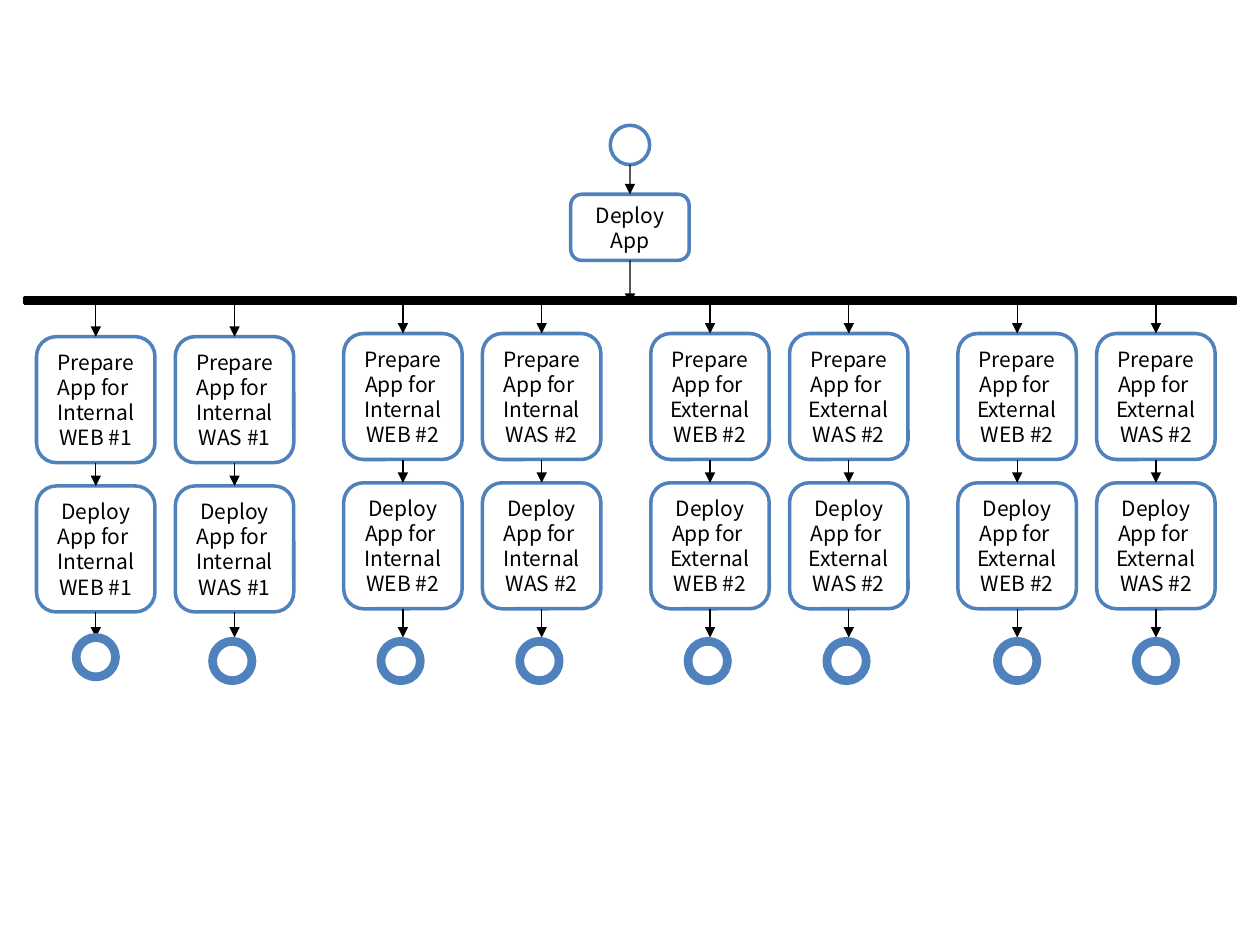
import pptx
import pptx.dml.color
import pptx.enum.shapes
import pptx.enum.text
import pptx.oxml
import pptx.oxml.ns
import pptx.util

Pt = pptx.util.Pt
SHAPES = pptx.enum.shapes.MSO_SHAPE
COLOURS = {"outline": "4F81BD", "paper": "FFFFFF", "ink": "000000"}
LABEL_FORMAT = {"name": "Noto Sans CJK KR", "size": Pt(12)}
TOP, BOTTOM = 0, 2

CENTRE = 360
STEP_WIDTH, STEP_HEIGHT = 67.7, 72
CIRCLE = 22.5
FIRST_LEFT, GROUP_PITCH, SERVER_PITCH = 20.9, 175.5, 79.3
DEPLOY_OFFSET = 85.3
BAR_TOP, BAR_HEIGHT = 170, 3.6
STEP_END = 364.3

# Server group, number, top of its first step, tops and left shifts of its end circles
GROUPS = [
    ("Internal", 1, 192.4, (364.3, 366.5), (0, -1.3)),
    ("Internal", 2, 190.6, (366.5, 366.5), (-1.3, -1.3)),
    ("External", 2, 190.6, (366.5, 366.5), (-1.3, -1.3)),
    ("External", 2, 190.6, (366.5, 366.5), (0, 0)),
]


def colour(key):
    return pptx.dml.color.RGBColor.from_string(COLOURS[key])


def add_node(slide, preset, bounds, fill="paper", outline="outline", weight=2):
    """Add a filled and outlined preset shape; bounds are in points."""
    node = slide.shapes.add_shape(preset, *map(Pt, bounds))
    node.shadow.inherit = False
    node.fill.solid()
    node.fill.fore_color.rgb = colour(fill)
    node.line.color.rgb = colour(outline)
    node.line.width = Pt(weight)
    return node


def add_step(slide, left, top, height, lines):
    step = add_node(slide, SHAPES.ROUNDED_RECTANGLE, (left, top, STEP_WIDTH, height))
    frame = step.text_frame
    frame.word_wrap = True
    frame.vertical_anchor = pptx.enum.text.MSO_ANCHOR.MIDDLE
    for index, line in enumerate(lines):
        paragraph = frame.add_paragraph() if index else frame.paragraphs[0]
        paragraph.alignment = pptx.enum.text.PP_ALIGN.CENTER
        label = paragraph.add_run()
        label.text = line
        for attribute, value in LABEL_FORMAT.items():
            setattr(label.font, attribute, value)
        label.font.color.rgb = colour("ink")
    return step


def add_arrow(slide, x, start, end, source=None, target=None):
    """Add a downward arrow, joined to the steps it leaves or enters."""
    arrow = slide.shapes.add_connector(
        pptx.enum.shapes.MSO_CONNECTOR.STRAIGHT, Pt(x), Pt(start), Pt(x), Pt(end))
    arrow.line.color.rgb = colour("ink")
    arrow.line.width = Pt(0.75)
    head = pptx.oxml.parse_xml(
        f'<a:tailEnd {pptx.oxml.ns.nsdecls("a")} type="triangle"/>')
    arrow.line._get_or_add_ln().append(head)
    no_effects = pptx.oxml.parse_xml(f'<a:effectLst {pptx.oxml.ns.nsdecls("a")}/>')
    arrow._element.spPr.append(no_effects)
    if source is not None:
        arrow.begin_connect(source, BOTTOM)
    if target is not None:
        arrow.end_connect(target, TOP)
    return arrow


def add_server(slide, left, top, server, circle_top, circle_shift):
    """Add one server's column: prepare, deploy and the end circle."""
    x = left + STEP_WIDTH / 2
    deploy_top = top + DEPLOY_OFFSET
    prepare = add_step(slide, left, top, STEP_HEIGHT, ["Prepare", "App for ", server])
    deploy = add_step(slide, left, deploy_top, STEP_HEIGHT, ["Deploy", "App for ", server])
    add_arrow(slide, x, BAR_TOP, top, target=prepare)
    add_arrow(slide, x, top + STEP_HEIGHT, deploy_top, prepare, deploy)
    add_arrow(slide, x, deploy_top + STEP_HEIGHT, STEP_END, source=deploy)
    circle_left = x - CIRCLE / 2 + circle_shift
    add_node(slide, SHAPES.OVAL, (circle_left, circle_top, CIRCLE, CIRCLE), weight=5)


def add_start(slide):
    """Add the start circle, the first step and the fork bar."""
    circle_top, app_top, app_height = 71.6, 111, 37.8
    add_node(slide, SHAPES.OVAL, (CENTRE - CIRCLE / 2, circle_top, CIRCLE, CIRCLE))
    app = add_step(slide, CENTRE - STEP_WIDTH / 2, app_top, app_height, ["Deploy", "App"])
    add_arrow(slide, CENTRE, circle_top + CIRCLE, app_top, target=app)
    to_fork = add_arrow(slide, CENTRE, app_top + app_height, BAR_TOP + BAR_HEIGHT, source=app)
    bar_width = 691.8
    fork = add_node(slide, SHAPES.RECTANGLE,
                    (CENTRE - bar_width / 2, BAR_TOP, bar_width, BAR_HEIGHT),
                    fill="ink", outline="ink")
    to_fork.end_connect(fork, BOTTOM)


def main():
    deck = pptx.Presentation()
    deck.slide_width, deck.slide_height = Pt(720), Pt(540)
    slide = deck.slides.add_slide(deck.slide_layouts[6])
    for group, (zone, number, top, circle_tops, shifts) in enumerate(GROUPS):
        for column, role in enumerate(("WEB", "WAS")):
            left = FIRST_LEFT + group * GROUP_PITCH + column * SERVER_PITCH
            add_server(slide, left, top, f"{zone} {role} #{number}",
                       circle_tops[column], shifts[column])
    add_start(slide)
    deck.save("out.pptx")


if __name__ == "__main__":
    main()
